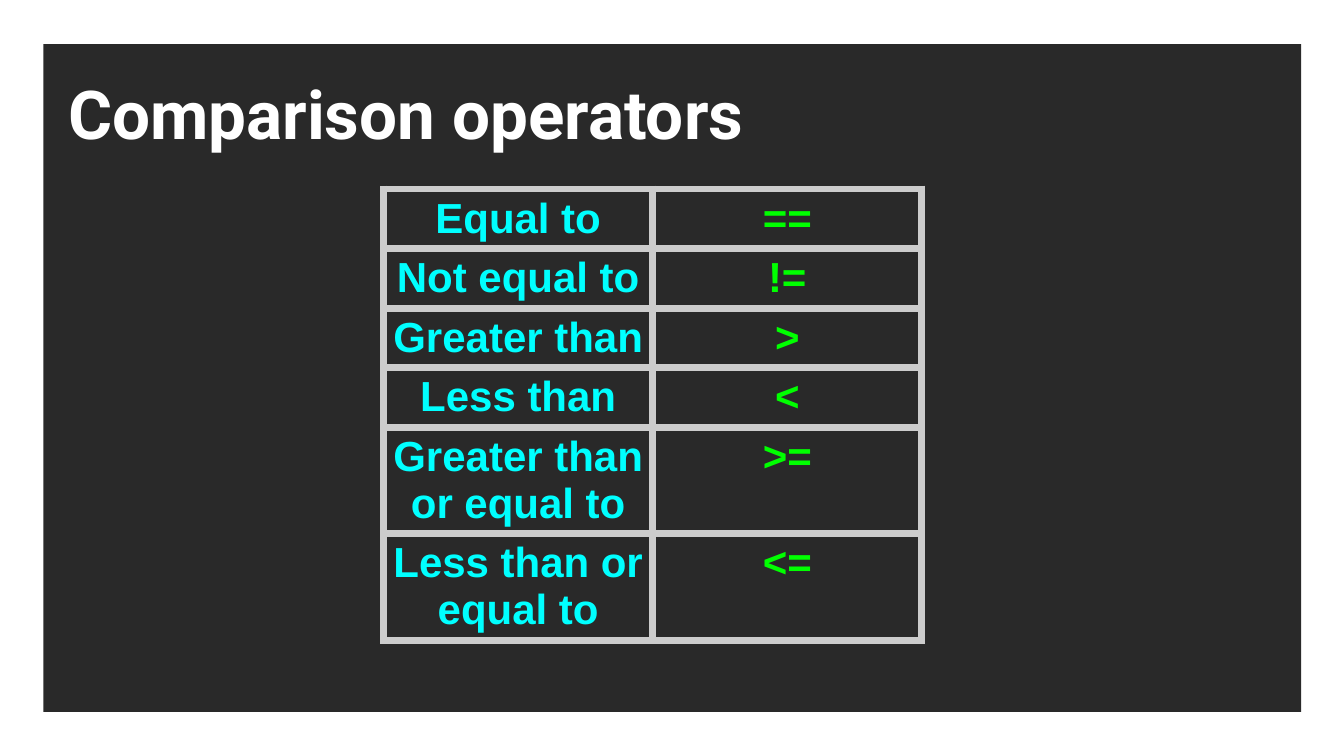
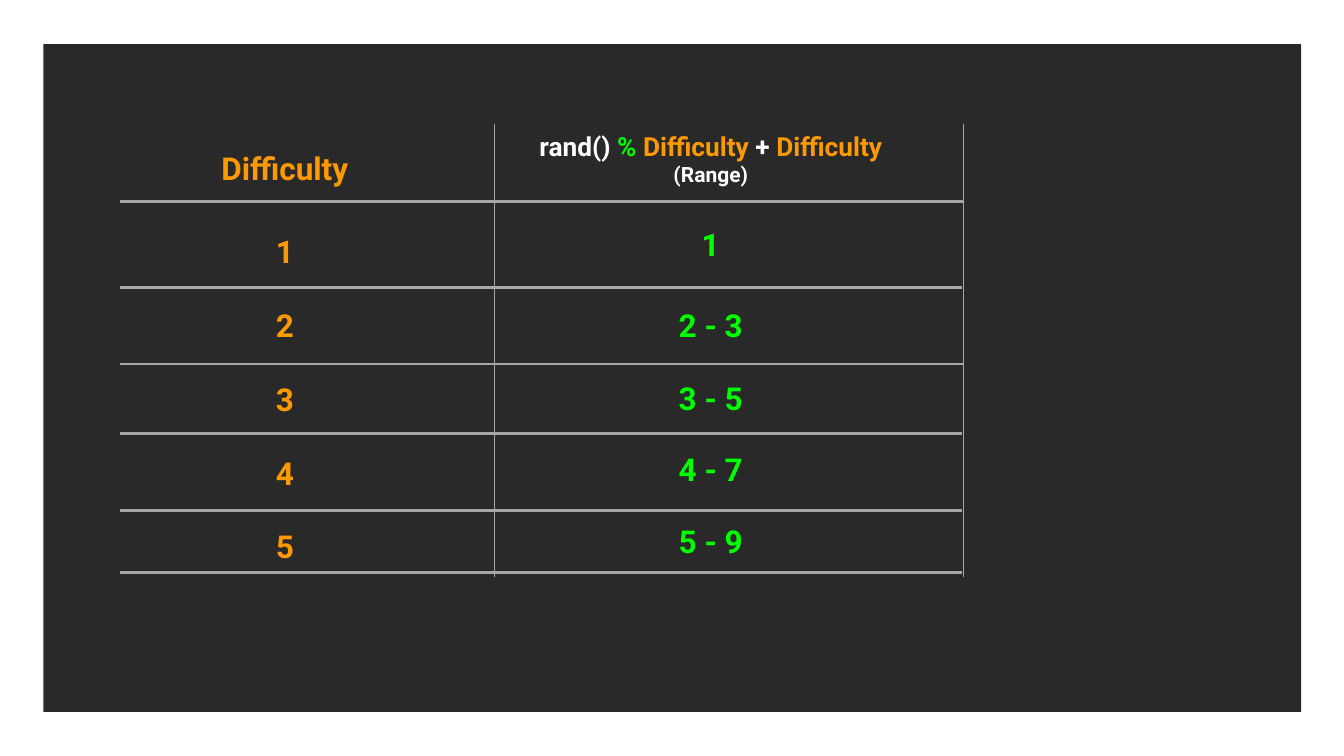
from dataclasses import dataclass

from lxml import etree
from pptx import Presentation
from pptx import util as u
from pptx.dml.color import RGBColor
from pptx.enum import shapes, text
from pptx.oxml import ns


@dataclass(frozen=True)
class Theme:
    """Colours, fonts and type sizes of the deck."""
    black: str = "000000"
    white: str = "FFFFFF"
    cyan: str = "00FFFF"
    green: str = "00FF00"
    orange: str = "FF9900"
    border: str = "CCCCCC"
    rule: str = "A7A7A7"
    font: str = "Roboto"
    table_font: str = "Arial"
    title_size: int = 77
    table_size: int = 48
    grid_size: int = 36
    formula_size: int = 30
    note_size: int = 24


@dataclass(frozen=True)
class Box:
    """A region of the slide, in inches."""
    left: float
    top: float
    width: float
    height: float

    def lengths(self):
        """Return the four measures as lengths."""
        return [u.Inches(n) for n in (self.left, self.top, self.width, self.height)]


THEME = Theme()
PANEL = Box(0.69, 0.7, 19.96, 10.6)
TEXT_HEIGHT = 0.83
OPERATORS = [
    ("Equal to", "=="),
    ("Not equal to", "!="),
    ("Greater than", ">"),
    ("Less than", "<"),
    ("Greater than or equal to", ">="),
    ("Less than or equal to", "<="),
]
RANGES = [("1", 1.5, 2.31), ("2 - 3", 2.79, 2.31), ("3 - 5", 3.95, 2.31),
          ("4 - 7", 5.08, 3.18), ("5 - 9", 6.21, 3.61)]
ROW_RULES = [(1.23, 13.38), (2.59, 13.35), (3.81, 13.38),
             (4.91, 13.35), (6.13, 13.35), (7.12, 13.35)]


def add_run(para, words, color, size, font=THEME.font):
    """Add one bold run to a paragraph."""
    span = para.add_run()
    span.text = words
    span.font.name = font
    span.font.size = u.Pt(size)
    span.font.bold = True
    span.font.color.rgb = RGBColor.from_string(color)


def set_frame(frame, inset):
    """Give a text frame wrapping, fixed size and equal insets."""
    frame.word_wrap = True
    frame.auto_size = text.MSO_AUTO_SIZE.NONE
    frame.margin_left = frame.margin_right = u.Inches(inset)
    frame.margin_top = frame.margin_bottom = u.Inches(inset)


def add_page(deck, layout):
    """Add a slide with the dark translucent panel behind its content."""
    page = deck.slides.add_slide(deck.slide_layouts[layout])
    panel = page.shapes.add_shape(shapes.MSO_SHAPE.RECTANGLE, *PANEL.lengths())
    panel.shadow.inherit = False
    panel.line.fill.background()
    panel.fill.solid()
    panel.fill.fore_color.rgb = RGBColor.from_string(THEME.black)
    color = panel.element.find(".//" + ns.qn("a:srgbClr"))
    etree.SubElement(color, ns.qn("a:alpha"), val="84000")
    if page.shapes.title is not None:
        page.shapes.title.element.addprevious(panel.element)
    return page


def set_title(page, box, words):
    """Place and format the title placeholder."""
    title = page.shapes.title
    title.left, title.top, title.width, title.height = box.lengths()
    set_frame(title.text_frame, 0.08)
    title.text_frame.vertical_anchor = text.MSO_ANCHOR.TOP
    para = title.text_frame.paragraphs[0]
    para.alignment = text.PP_ALIGN.LEFT
    add_run(para, words, THEME.white, THEME.title_size)


def set_borders(cell):
    """Draw a thick border on the four sides of a cell."""
    properties = cell._tc.get_or_add_tcPr()
    for place, side in enumerate(("a:lnL", "a:lnR", "a:lnT", "a:lnB")):
        line = etree.Element(ns.qn(side), w=str(u.Pt(9)))
        fill = etree.SubElement(line, ns.qn("a:solidFill"))
        etree.SubElement(fill, ns.qn("a:srgbClr"), val=THEME.border)
        properties.insert(place, line)


def add_operator_table(page, box):
    """Add the table of comparison operators."""
    table = page.shapes.add_table(len(OPERATORS), 2, *box.lengths()).table
    table.first_row = table.horz_banding = False
    for column in table.columns:
        column.width = u.Inches(box.width / 2)
    for row, words in zip(table.rows, OPERATORS):
        row.height = u.Inches(box.height / len(OPERATORS))
        for cell, word, color in zip(row.cells, words, (THEME.cyan, THEME.green)):
            cell.fill.background()
            set_borders(cell)
            cell.margin_left = cell.margin_right = u.Inches(0.1)
            cell.margin_top = cell.margin_bottom = u.Inches(0.1)
            para = cell.text_frame.paragraphs[0]
            para.alignment = text.PP_ALIGN.CENTER
            add_run(para, word, color, THEME.table_size, THEME.table_font)


def add_label(page, center, top, width, lines):
    """Add centred text, each line a list of (words, colour, size)."""
    box = Box(center - width / 2, top, width, TEXT_HEIGHT)
    frame = page.shapes.add_textbox(*box.lengths()).text_frame
    set_frame(frame, 0.1)
    for number, runs in enumerate(lines):
        para = frame.add_paragraph() if number else frame.paragraphs[0]
        para.alignment = text.PP_ALIGN.CENTER
        for words, color, size in runs:
            add_run(para, words, color, size)


def add_rule(page, start, end, weight):
    """Add a straight grey line between two points."""
    rule = page.shapes.add_connector(
        shapes.MSO_CONNECTOR.STRAIGHT, *[u.Inches(n) for n in start + end])
    rule.line.color.rgb = RGBColor.from_string(THEME.rule)
    rule.line.width = u.Pt(weight)
    etree.SubElement(rule.element.spPr, ns.qn("a:effectLst"))


def add_difficulty_grid(page, box):
    """Add the ruled grid of difficulties and their random ranges."""
    level_center, range_center = box.left + 2.61, box.left + 9.37
    size = THEME.formula_size
    formula = [("rand() ", THEME.white, size), ("% ", THEME.green, size),
               ("Difficulty ", THEME.orange, size), ("+", THEME.white, size),
               (" Difficulty", THEME.orange, size)]
    note = [("(Range)", THEME.white, THEME.note_size)]
    heading = [("Difficulty", THEME.orange, THEME.grid_size)]
    add_label(page, level_center, box.top + 0.3, 4.06, [heading])
    add_label(page, range_center, box.top, 7.45, [formula, note])
    for index, (words, top, width) in enumerate(RANGES):
        level = [(str(index + 1), THEME.orange, THEME.grid_size)]
        add_label(page, level_center, box.top + 1.62 + 1.17 * index, 1.58, [level])
        values = [(words, THEME.green, THEME.grid_size)]
        add_label(page, range_center, box.top + top, width, [values])
    for offset, length in ROW_RULES:
        y = box.top + offset
        add_rule(page, (box.left, y), (box.left + length, y), 3)
    for x in (box.left + 5.94, box.left + box.width):
        add_rule(page, (x, box.top), (x, box.top + box.height), 0.75)


def main():
    """Build and save the deck."""
    deck = Presentation()
    deck.slide_width, deck.slide_height = u.Inches(21.33), u.Inches(12)
    operators = add_page(deck, 5)
    set_title(operators, Box(1, 1.07, 19.33, 1.46), "Comparison operators")
    add_operator_table(operators, Box(6.09, 3, 8.54, 2.52))
    difficulty = add_page(deck, 6)
    add_difficulty_grid(difficulty, Box(1.91, 1.97, 13.38, 7.19))
    deck.save("out.pptx")


if __name__ == "__main__":
    main()
